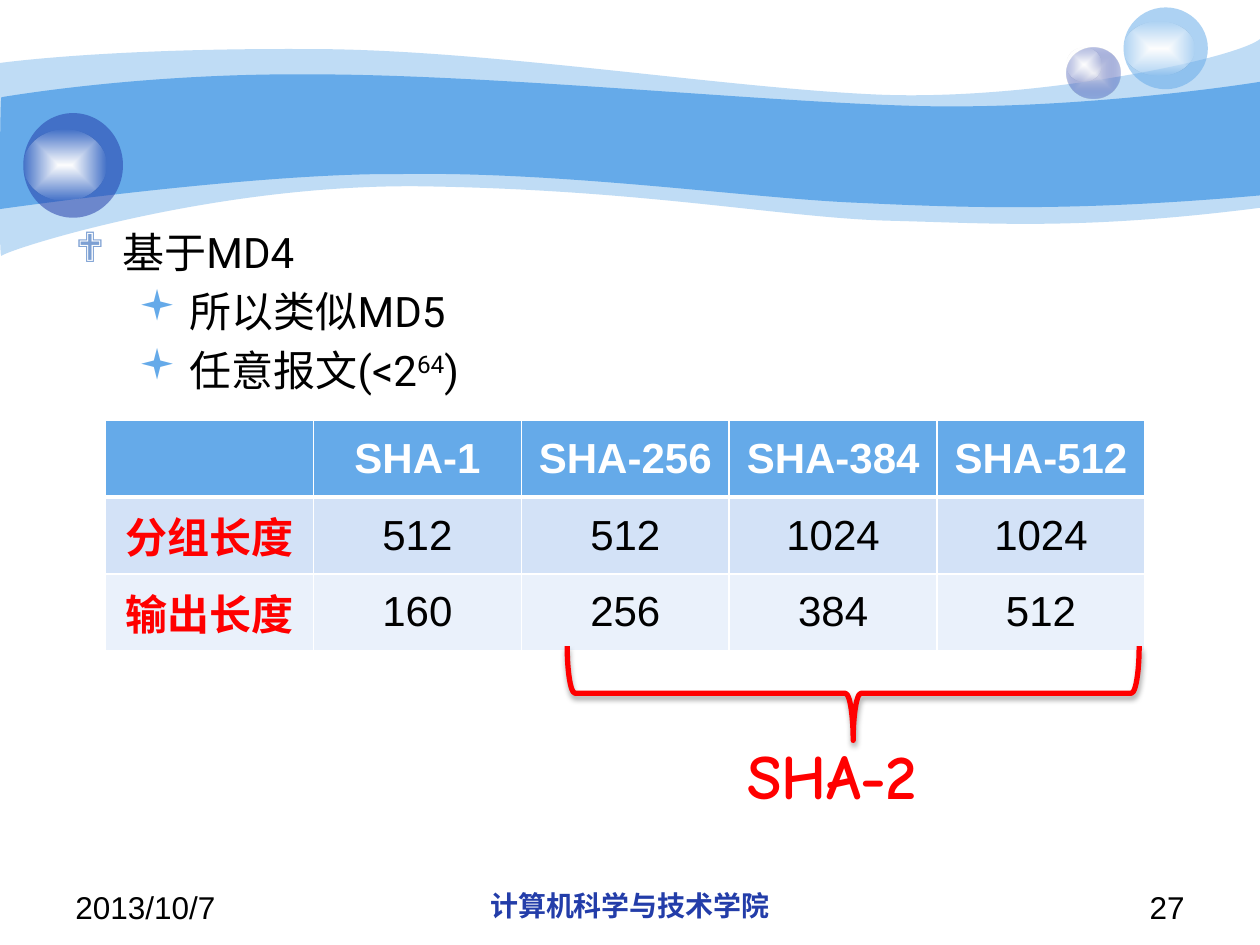
from dataclasses import dataclass
from typing import Optional

from lxml import etree
from pptx import Presentation
from pptx.dml.color import RGBColor
from pptx.enum.shapes import MSO_SHAPE
from pptx.enum.text import MSO_ANCHOR, PP_ALIGN
from pptx.oxml import parse_xml
from pptx.oxml.ns import nsdecls, qn
from pptx.util import Cm, Pt

OVAL, LEFT_BRACE = MSO_SHAPE.OVAL, MSO_SHAPE.LEFT_BRACE
LEFT, CENTER, RIGHT = PP_ALIGN.LEFT, PP_ALIGN.CENTER, PP_ALIGN.RIGHT
MIDDLE = MSO_ANCHOR.MIDDLE

WHITE = RGBColor(0xFF, 0xFF, 0xFF)
BLACK = RGBColor(0x00, 0x00, 0x00)
RED = RGBColor(0xFF, 0x00, 0x00)
SKY = RGBColor(0x65, 0xAA, 0xE9)
NAVY = RGBColor(0x23, 0x3D, 0xA9)
LILAC = RGBColor(0xE1, 0xE2, 0xED)
DIAMOND_BLUE = RGBColor(0x7D, 0xA0, 0xD3)
BAND_DARK = RGBColor(0xD3, 0xE2, 0xF7)
BAND_LIGHT = RGBColor(0xEA, 0xF1, 0xFB)


@dataclass
class Wave:
    start: tuple
    segments: list  # one point: straight line; three points: Bézier curve
    opacity: int


@dataclass
class Bubble:
    box: tuple
    glow_box: tuple
    color: RGBColor
    opacity: int
    center_color: Optional[RGBColor] = None


@dataclass
class Bullet:
    runs: list  # (text, is_superscript)
    level: int
    mark: str
    color: RGBColor
    margin: float
    hanging: float


@dataclass
class Footer:
    text: str
    left: float
    width: float
    format: dict


WAVES = [
    Wave((0, 1.27), [
        ((0.61, 1.19), (2.72, 0.97), (6.27, 0.99)),
        ((9.8, 0.99), (14.61, 1.78), (17.75, 1.91)),
        ((20.88, 2.03), (24.89, 1.19), (25.4, 0.79)),
        ((25.4, 4.19),),
        ((21.79, 4.65), (19.99, 4.5), (17.91, 4.45)),
        ((15.8, 4.39), (13.08, 3.84), (8.71, 3.76)),
        ((4.37, 3.66), (0.1, 5.05), (0.03, 5.16)),
        ((-0.03, 5.28), (0, 1.91), (0, 1.27))], 41),
    Wave((0.03, 1.96), [
        ((0.05, 1.96), (2.79, 1.47), (6.3, 1.5)),
        ((9.8, 1.5), (15.11, 2.03), (18.24, 2.13)),
        ((21.36, 2.24), (24.79, 1.75), (25.4, 1.65)),
        ((25.4, 3.94),),
        ((21.67, 4.27), (19.43, 4.19), (17.32, 4.09)),
        ((15.21, 4.01), (11.35, 3.45), (8.05, 3.51)),
        ((5.16, 3.48), (-0.05, 4.22), (-0.03, 4.22)),
        ((0, 4.22), (0, 1.96), (0.03, 1.96))], 100),
]
BUBBLES = [
    Bubble((21.5, 0.96, 1.08, 1.02), (21.5, 0.96, 0.71, 0.69), NAVY, 31, LILAC),
    Bubble((22.65, 0.15, 1.7, 1.65), (22.65, 0.43, 1.42, 1.09), SKY, 53),
    Bubble((0.47, 2.28, 2.01, 2.11), (0.47, 2.62, 1.68, 1.42), NAVY, 53),
]
BULLETS = [
    Bullet([("基于MD4", False)], 0, "❖", DIAMOND_BLUE, 0.95, 0.95),
    Bullet([(" 所以类似MD5", False)], 1, "▪", SKY, 2.06, 0.79),
    Bullet([(" 任意报文(<2", False), ("64", True), (")", False)], 1, "▪", SKY, 2.06, 0.79),
]
TABLE_ROWS = [
    ["", "SHA-1", "SHA-256", "SHA-384", "SHA-512"],
    ["分组长度", "512", "512", "1024", "1024"],
    ["输出长度", "160", "256", "384", "512"],
]
ROW_FILLS = [SKY, BAND_DARK, BAND_LIGHT]
FOOTERS = [
    Footer("2013/10/7", 1.27, 5.93, dict(size=18)),
    Footer("计算机科学与技术学院", 8.68, 8.04,
           dict(size=16, color=NAVY, bold=True, align=CENTER)),
    Footer("27", 18.2, 5.93, dict(size=18, align=RIGHT)),
]


def write(paragraph, text: str, *, size=24, font="Arial", color=BLACK,
          bold=False, align=LEFT, superscript=False) -> None:
    paragraph.alignment = align
    run = paragraph.add_run()
    run.text = text
    run.font.size, run.font.name, run.font.bold = Pt(size), font, bold
    run.font.color.rgb = color
    if superscript:
        run.font._element.set("baseline", "30000")


def add_text_box(slide, left: float, top: float, width: float, height: float):
    frame = slide.shapes.add_textbox(Cm(left), Cm(top), Cm(width), Cm(height)).text_frame
    frame.word_wrap = True
    return frame


def fill_solid(shape, color: RGBColor, opacity: int) -> None:
    shape.fill.solid()
    shape.fill.fore_color.rgb = color
    if opacity < 100:
        color_element = shape._element.spPr.find(qn("a:solidFill"))[0]
        etree.SubElement(color_element, qn("a:alpha"), val=str(opacity * 1000))


def fill_radial(shape, inner: RGBColor, outer: RGBColor, opacity: int) -> None:
    gradient = parse_xml(
        f'<a:gradFill {nsdecls("a")} rotWithShape="1"><a:gsLst>'
        f'<a:gs pos="0"><a:srgbClr val="{inner}"/></a:gs>'
        f'<a:gs pos="100000"><a:srgbClr val="{outer}">'
        f'<a:alpha val="{opacity * 1000}"/></a:srgbClr></a:gs></a:gsLst>'
        '<a:path path="shape"><a:fillToRect l="50000" t="50000" r="50000" b="50000"/>'
        '</a:path></a:gradFill>')
    shape._element.spPr.find(qn("a:prstGeom")).addnext(gradient)


def draw_wave(slide, wave: Wave) -> None:
    builder = slide.shapes.build_freeform(*map(Cm, wave.start))
    builder.add_line_segments(
        [(Cm(x), Cm(y)) for segment in wave.segments for x, y in segment], close=True)
    shape = builder.convert_to_shape()
    shape.shadow.inherit = False
    shape.line.fill.background()
    fill_solid(shape, SKY, wave.opacity)

    # Merge each three straight steps of a curve into one Bézier segment
    steps = iter(list(shape._element.spPr.iter(qn("a:lnTo"))))
    for segment in wave.segments:
        group = [next(steps) for _ in segment]
        if len(group) == 3:
            curve = etree.Element(qn("a:cubicBezTo"))
            group[0].addprevious(curve)
            for step in group:
                curve.append(step[0])
                step.getparent().remove(step)


def add_oval(slide, box: tuple):
    shape = slide.shapes.add_shape(OVAL, *map(Cm, box))
    shape.shadow.inherit = False
    shape.line.fill.background()
    return shape


def draw_bubble(slide, bubble: Bubble) -> None:
    ball = add_oval(slide, bubble.box)
    if bubble.center_color is None:
        fill_solid(ball, bubble.color, bubble.opacity)
    else:
        fill_radial(ball, bubble.center_color, bubble.color, bubble.opacity)
    fill_radial(add_oval(slide, bubble.glow_box), WHITE, WHITE, 0)


def draw_bullets(slide) -> None:
    frame = add_text_box(slide, 1.27, 4.45, 22.86, 13.13)
    for index, bullet in enumerate(BULLETS):
        paragraph = frame.add_paragraph() if index else frame.paragraphs[0]
        paragraph.level = bullet.level
        if index:
            paragraph.space_before = Pt(4.8)
        properties = paragraph._p.get_or_add_pPr()
        properties.set("marL", str(Cm(bullet.margin)))
        properties.set("indent", str(-Cm(bullet.hanging)))
        bullet_color = etree.SubElement(properties, qn("a:buClr"))
        etree.SubElement(bullet_color, qn("a:srgbClr"), val=str(bullet.color))
        etree.SubElement(properties, qn("a:buFont"), typeface="Wingdings")
        etree.SubElement(properties, qn("a:buChar"), char=bullet.mark)
        for text, superscript in bullet.runs:
            write(paragraph, text, font="Roboto", superscript=superscript)


def set_borders(cell, top: int, bottom: int) -> None:
    properties = cell._tc.get_or_add_tcPr()
    for side, width in (("L", 1), ("R", 1), ("T", top), ("B", bottom)):
        properties.append(parse_xml(
            f'<a:ln{side} {nsdecls("a")} w="{Pt(width)}"><a:solidFill>'
            f'<a:srgbClr val="{WHITE}"/></a:solidFill></a:ln{side}>'))


def draw_table(slide) -> None:
    table = slide.shapes.add_table(len(TABLE_ROWS), len(TABLE_ROWS[0]),
                                   Cm(2.13), Cm(8.47), Cm(20.95), Cm(4.65)).table
    for row_index, row in enumerate(TABLE_ROWS):
        for column_index, text in enumerate(row):
            cell = table.cell(row_index, column_index)
            header, label = row_index == 0, column_index == 0
            set_borders(cell, 3 if row_index == 1 else 1, 3 if header else 1)
            cell.fill.solid()
            cell.fill.fore_color.rgb = ROW_FILLS[row_index]
            cell.vertical_anchor = MIDDLE
            if text:
                write(cell.text_frame.paragraphs[0], text, align=CENTER, bold=header or label,
                      color=WHITE if header else RED if label else BLACK)


def draw_brace(slide) -> None:
    brace = slide.shapes.add_shape(LEFT_BRACE, Cm(16.25), Cm(8.21), Cm(1.9), Cm(11.53))
    brace.rotation = 270
    brace.fill.background()
    brace.line.color.rgb, brace.line.width = RED, Pt(3)
    brace.shadow.inherit = False
    brace._element.spPr.find(qn("a:effectLst")).append(parse_xml(
        f'<a:outerShdw {nsdecls("a")} blurRad="{Pt(3.1)}" dist="{Pt(1.8)}" dir="5400000" '
        f'rotWithShape="0"><a:srgbClr val="{BLACK}"><a:alpha val="35000"/></a:srgbClr>'
        '</a:outerShdw>'))


def main() -> None:
    presentation = Presentation()
    presentation.slide_width, presentation.slide_height = Cm(25.4), Cm(19.05)
    slide = presentation.slides.add_slide(presentation.slide_layouts[6])

    # Banner
    for wave in WAVES:
        draw_wave(slide, wave)
    for bubble in BUBBLES:
        draw_bubble(slide, bubble)

    # Body and footer
    draw_bullets(slide)
    for footer in FOOTERS:
        frame = add_text_box(slide, footer.left, 17.78, footer.width, 0.89)
        write(frame.paragraphs[0], footer.text, **footer.format)

    # Hash comparison with the SHA-2 family marked
    draw_table(slide)
    draw_brace(slide)
    family = add_text_box(slide, 14.81, 14.72, 6.15, 1.8)
    write(family.paragraphs[0], "SHA-2", size=36, font="Comic Neue", color=RED, bold=True)

    presentation.save("out.pptx")


if __name__ == "__main__":
    main()
